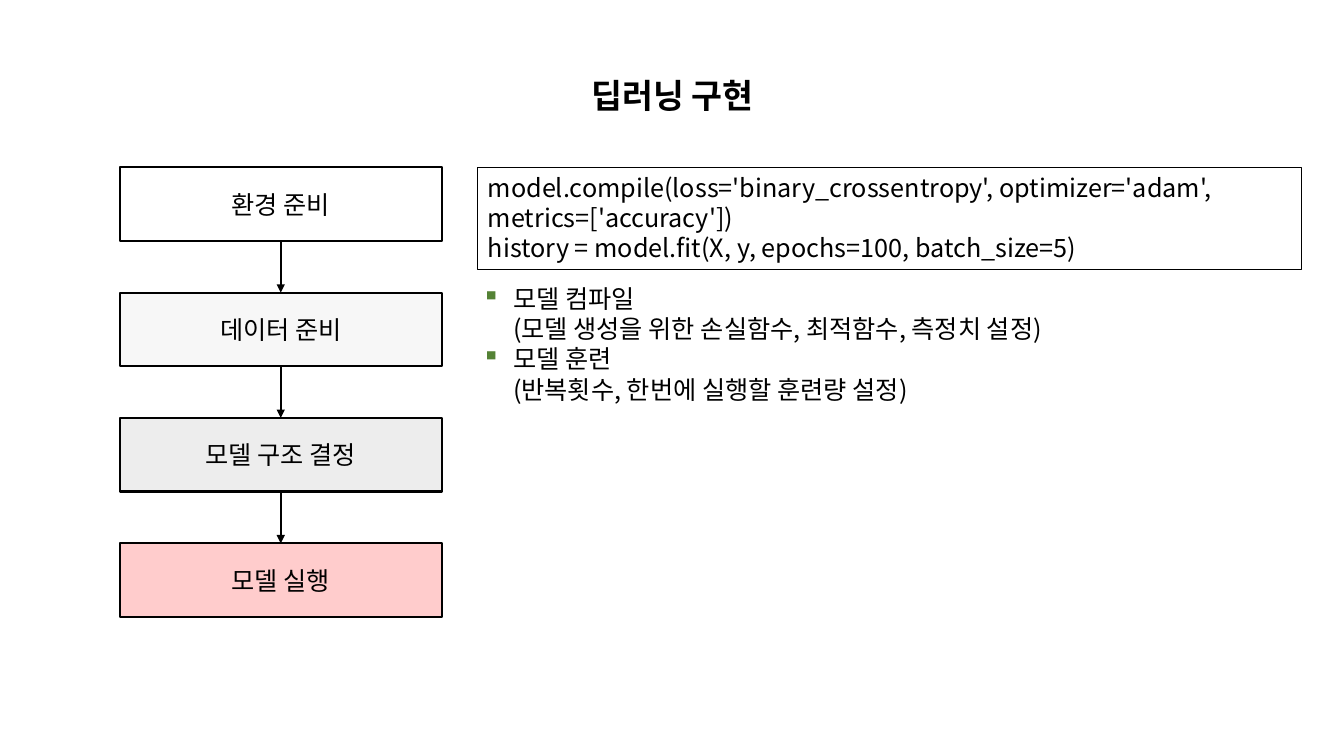
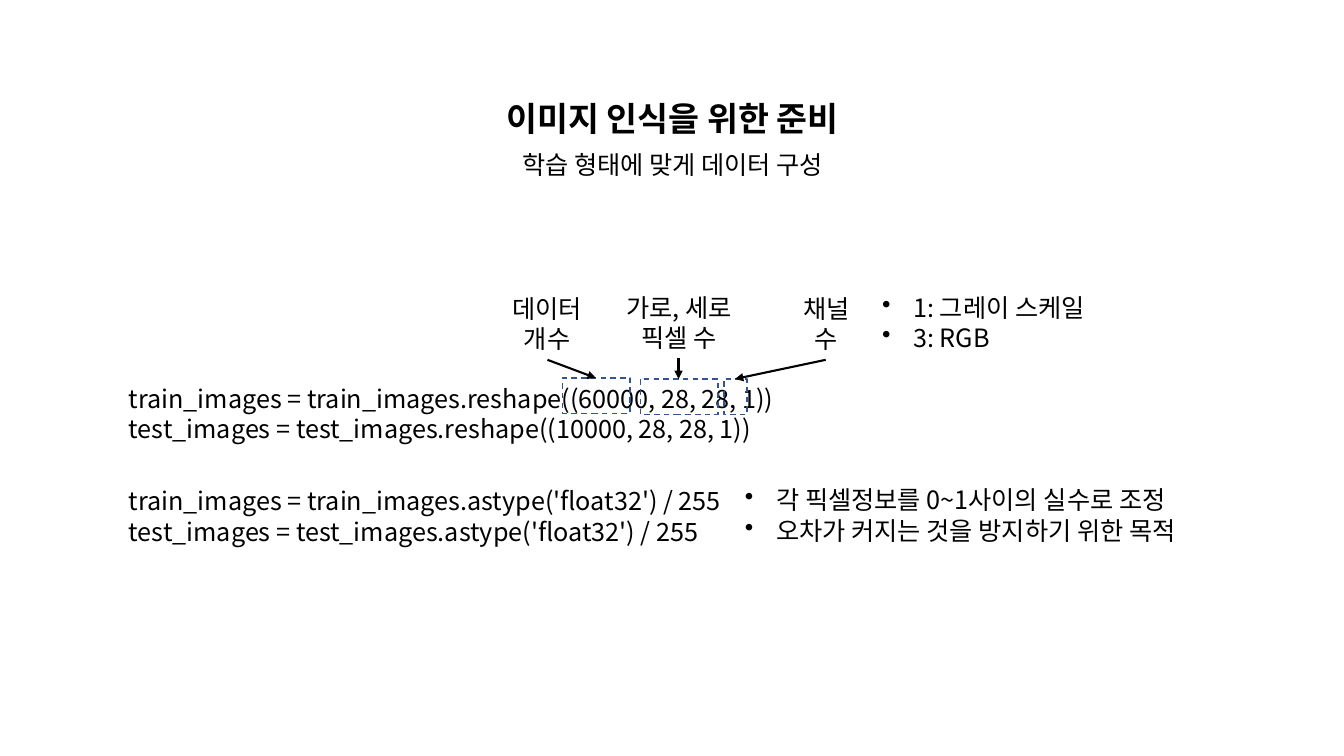
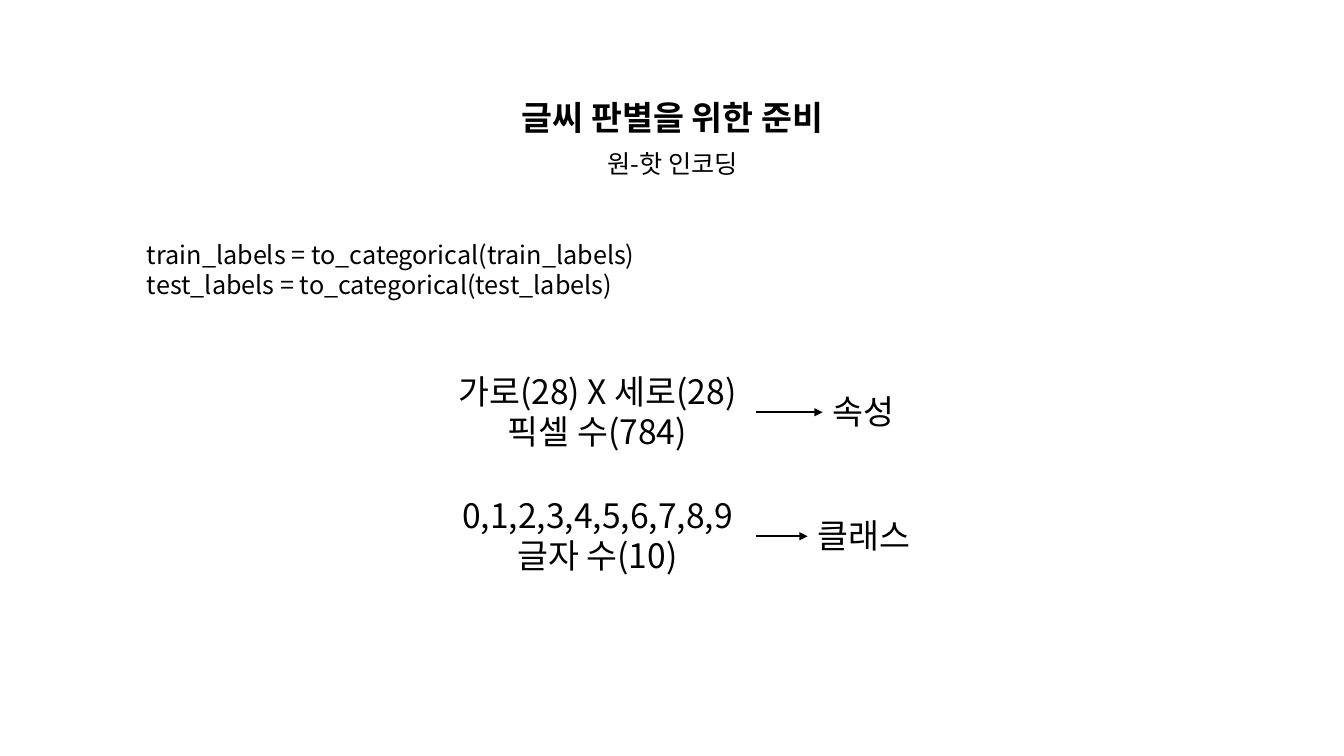
from itertools import pairwise

from lxml import etree
from pptx import Presentation
from pptx.dml.color import RGBColor
from pptx.enum.dml import MSO_LINE
from pptx.enum.shapes import MSO_CONNECTOR, MSO_SHAPE
from pptx.enum.text import MSO_ANCHOR, PP_ALIGN
from pptx.oxml.ns import qn
from pptx.util import Inches, Pt

RECTANGLE = MSO_SHAPE.RECTANGLE
STRAIGHT = MSO_CONNECTOR.STRAIGHT
DASH = MSO_LINE.DASH
LEFT, CENTER = PP_ALIGN.LEFT, PP_ALIGN.CENTER
TOP, MIDDLE = MSO_ANCHOR.TOP, MSO_ANCHOR.MIDDLE


def rgb(color):
    return RGBColor.from_string(color)


class Deck:
    """Holds the shared style and the slide being filled."""

    font = "Noto Sans CJK KR"
    ink = "000000"
    dash_color = "325491"
    body_size, title_size = 18, 24
    middle = 6.67
    indent = 0.31

    def __init__(self):
        self.presentation = Presentation()
        self.presentation.slide_width = Inches(13.33)
        self.presentation.slide_height = Inches(7.5)
        self.slide = None

    def new_slide(self):
        self.slide = self.presentation.slides.add_slide(self.presentation.slide_layouts[6])

    def set_lines(self, frame, lines, size=body_size, align=LEFT, bold=False, anchor=TOP):
        frame.word_wrap = True
        frame.vertical_anchor = anchor
        frame.text = "\n" * (len(lines) - 1)
        for paragraph, line in zip(frame.paragraphs, lines):
            paragraph.text = line
            paragraph.alignment = align
            for run in paragraph.runs:
                run.font.size = Pt(size)
                run.font.bold = bold
                run.font.color.rgb = rgb(self.ink)
                run.font.name = self.font
                etree.SubElement(run.font._element, qn("a:ea"), typeface=self.font)

    def text(self, left, top, width, height, lines, **style):
        box = self.slide.shapes.add_textbox(*map(Inches, (left, top, width, height)))
        self.set_lines(box.text_frame, lines, **style)
        return box

    def title(self, text, top, width=6.74):
        self.text(self.middle - width / 2, top, width, 0.5, [text],
                  size=self.title_size, align=CENTER, bold=True)

    def subtitle(self, text, top, width):
        self.text(self.middle - width / 2, top, width, 0.4, [text], align=CENTER)

    def bullets(self, left, top, width, height, lines, mark="•", color=None):
        box = self.text(left, top, width, height, lines)
        for paragraph in box.text_frame.paragraphs:
            properties = paragraph._p.get_or_add_pPr()
            properties.set("marL", str(Inches(self.indent)))
            properties.set("indent", str(-Inches(self.indent)))
            if color:
                bullet_color = etree.SubElement(properties, qn("a:buClr"))
                etree.SubElement(bullet_color, qn("a:srgbClr"), val=color)
            etree.SubElement(properties, qn("a:buChar"), char=mark)

    def box(self, left, top, width, height, line=ink, weight=1.5, fill=None, opacity=20):
        shape = self.slide.shapes.add_shape(RECTANGLE, *map(Inches, (left, top, width, height)))
        shape.shadow.inherit = False
        shape.line.color.rgb = rgb(line)
        shape.line.width = Pt(weight)
        if fill:
            shape.fill.solid()
            shape.fill.fore_color.rgb = rgb(fill)
            fill_color = shape._element.spPr.find(qn("a:solidFill"))[0]
            etree.SubElement(fill_color, qn("a:alpha"), val=str(opacity * 1000))
        else:
            shape.fill.background()
        return shape

    def step(self, left, top, width, height, label, fill):
        shape = self.box(left, top, width, height, fill=fill)
        self.set_lines(shape.text_frame, [label], align=CENTER, anchor=MIDDLE)

    def code_box(self, left, top, width, height, lines):
        shape = self.box(left, top, width, height, weight=0.75)
        self.set_lines(shape.text_frame, lines)

    def dashed_box(self, left, top, width, height):
        self.box(left, top, width, height, line=self.dash_color, weight=1).line.dash_style = DASH

    def arrow(self, x1, y1, x2, y2):
        connector = self.slide.shapes.add_connector(STRAIGHT, *map(Inches, (x1, y1, x2, y2)))
        connector.line.color.rgb = rgb(self.ink)
        connector.line.width = Pt(1.5)
        properties = connector._element.spPr
        etree.SubElement(properties.find(qn("a:ln")), qn("a:tailEnd"), type="triangle")
        etree.SubElement(properties, qn("a:effectLst"))


def implementation_slide(deck):
    deck.new_slide()
    left, width, height = 1.19, 3.19, 0.73
    first_top, last_top = 1.66, 5.39
    steps = [("환경 준비", None), ("데이터 준비", "D9D9D9"),
             ("모델 구조 결정", "A6A6A6"), ("모델 실행", "FF0000")]
    pitch = (last_top - first_top) / (len(steps) - 1)
    tops = [first_top + pitch * index for index in range(len(steps))]
    for top, (label, fill) in zip(tops, steps):
        deck.step(left, top, width, height, label, fill)
    for top, next_top in pairwise(tops):
        deck.arrow(left + width / 2, top + height, left + width / 2, next_top)
    deck.code_box(4.74, 1.66, 8.17, 1.01, [
        "model.compile(loss='binary_crossentropy', optimizer='adam', metrics=['accuracy'])",
        "history = model.fit(X, y, epochs=100, batch_size=5)"])
    deck.bullets(4.68, 2.76, 6.32, 1.31, [
        "모델 컴파일\n(모델 생성을 위한 손실함수, 최적함수, 측정치 설정)",
        "모델 훈련\n(반복횟수, 한번에 실행할 훈련량 설정)"], mark="▪", color="548235")
    deck.title("딥러닝 구현", 0.69, 4.15)


def image_slide(deck):
    deck.new_slide()
    deck.title("이미지 인식을 위한 준비", 0.92)
    deck.subtitle("학습 형태에 맞게 데이터 구성", 1.43, 3.59)
    deck.text(1.18, 3.75, 9.8, 0.71, [
        "train_images = train_images.reshape((60000, 28, 28, 1))",
        "test_images = test_images.reshape((10000, 28, 28, 1))"])
    for left, top, width in [(5.58, 3.75, 0.67), (6.35, 3.76, 0.77), (7.18, 3.76, 0.23)]:
        deck.dashed_box(left, top, width, 0.35)
    dimensions = [
        (4.92, 2.86, 1.01, ["데이터개수"], (5.43, 3.57, 5.91, 3.75)),
        (6.02, 2.85, 1.43, ["가로, 세로 픽셀 수"], (6.73, 3.55, 6.73, 3.76)),
        (7.48, 2.86, 1.43, ["채널", "수"], (8.19, 3.57, 7.29, 3.76))]
    for left, top, width, label, pointer in dimensions:
        deck.text(left, top, width, 0.71, label, align=CENTER)
        deck.arrow(*pointer)
    deck.bullets(8.65, 2.85, 2.41, 0.71, ["1: 그레이 스케일", "3: RGB"])
    deck.text(1.18, 4.77, 9.8, 0.71, [
        "train_images = train_images.astype('float32') / 255",
        "test_images = test_images.astype('float32') / 255"])
    deck.bullets(7.29, 4.76, 5.48, 0.71, [
        "각 픽셀정보를 0~1사이의 실수로 조정", "오차가 커지는 것을 방지하기 위한 목적"])


def label_slide(deck):
    deck.new_slide()
    deck.title("글씨 판별을 위한 준비", 0.91)
    deck.subtitle("원-핫 인코딩", 1.42, 1.66)
    deck.text(1.36, 2.32, 9.8, 0.71, [
        "train_labels = to_categorical(train_labels)",
        "test_labels = to_categorical(test_labels)"])
    left, width = 4.35, 3.15
    mappings = [
        (3.63, ["가로(28) X 세로(28)", "픽셀 수(784)"], "속성", 8.16, 0.88),
        (4.86, ["0,1,2,3,4,5,6,7,8,9", "글자 수(10)"], "클래스", 8.01, 1.21)]
    for top, source, meaning, meaning_left, meaning_width in mappings:
        deck.text(left, top, width, 0.91, source, size=deck.title_size, align=CENTER)
        deck.text(meaning_left, top + 0.2, meaning_width, 0.5, [meaning], size=deck.title_size)
        deck.arrow(left + width, top + 0.46, meaning_left, top + 0.46)


def main():
    deck = Deck()
    implementation_slide(deck)
    image_slide(deck)
    label_slide(deck)
    deck.presentation.save("out.pptx")


if __name__ == "__main__":
    main()
